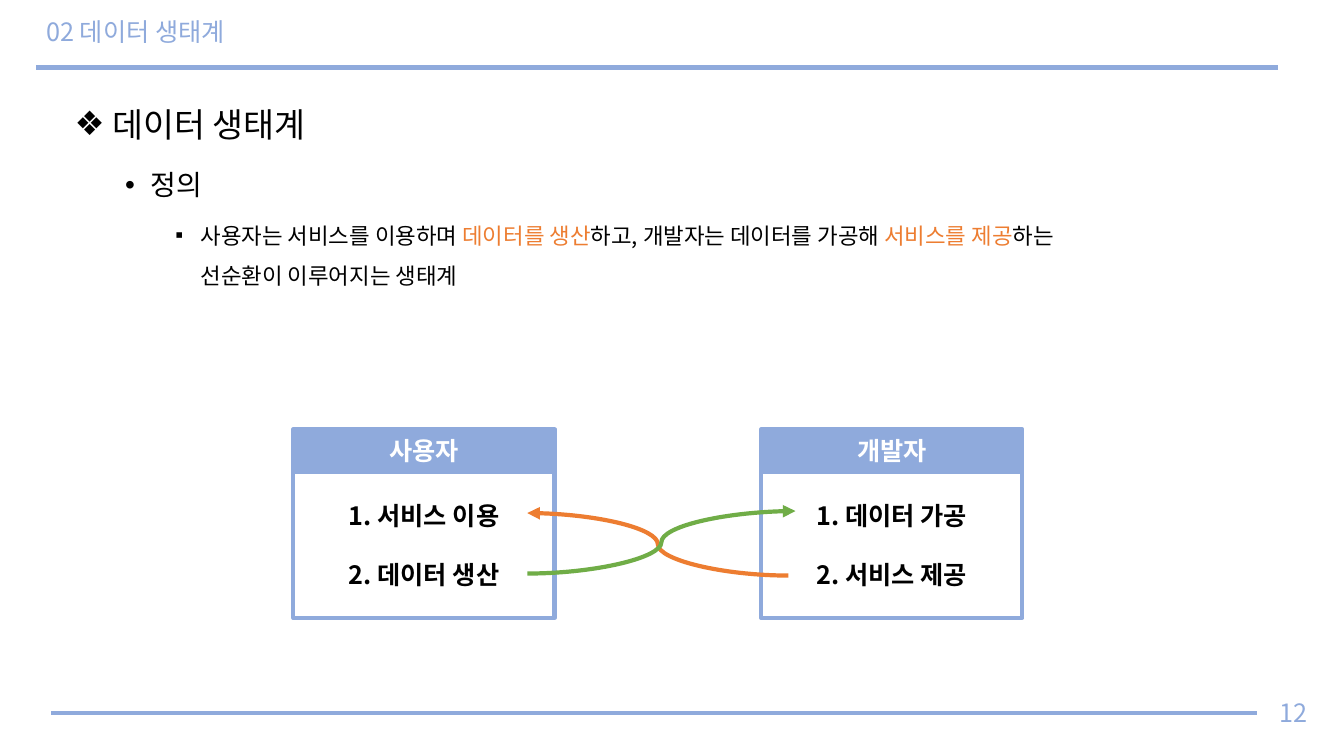
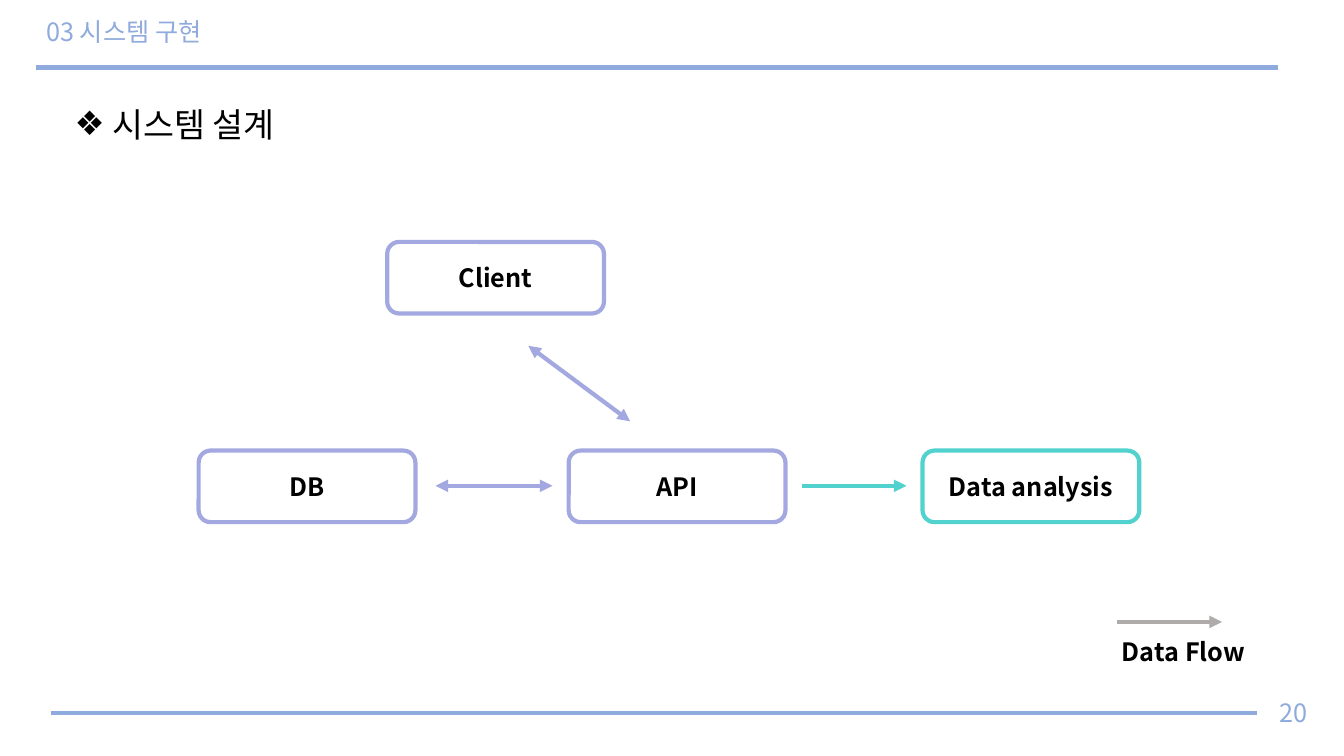
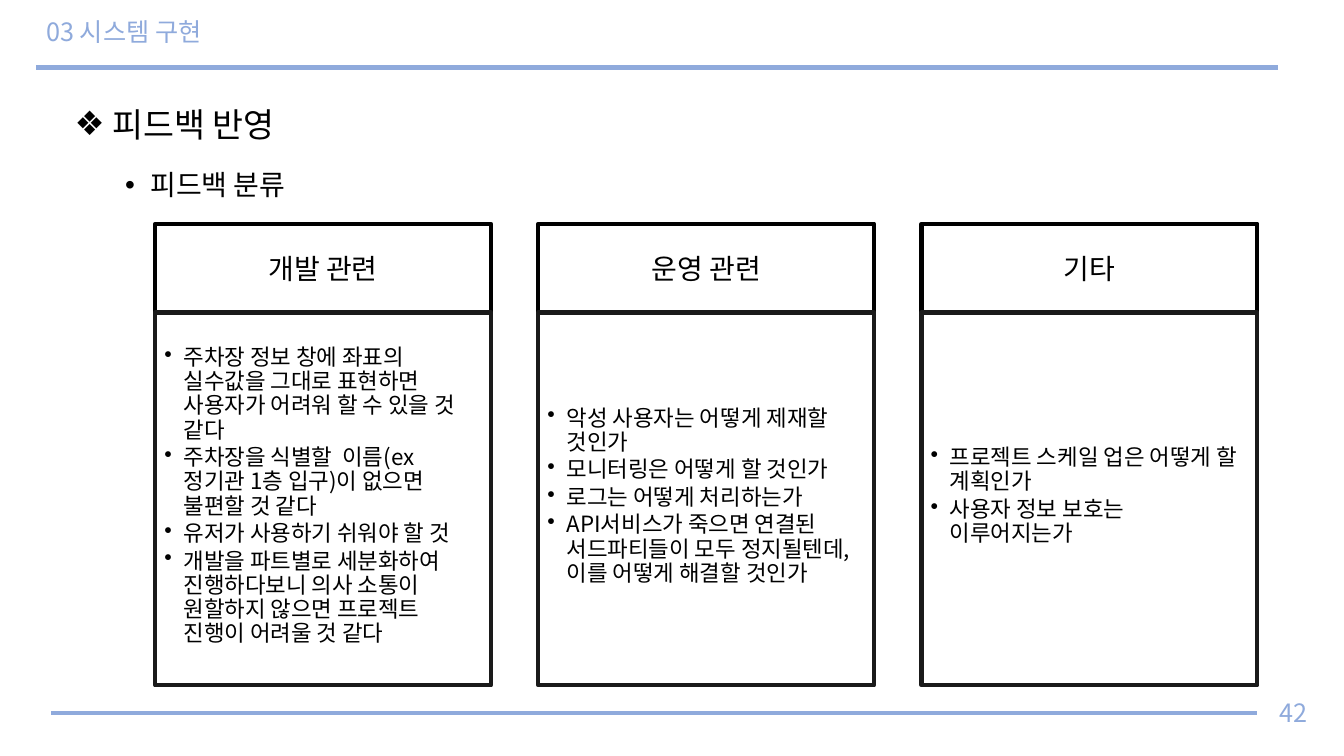
from copy import deepcopy

from lxml.etree import SubElement
from pptx import Presentation
from pptx.dml.color import RGBColor
from pptx.enum.shapes import MSO_CONNECTOR as CONN, MSO_SHAPE as SHAPE
from pptx.enum.text import MSO_ANCHOR as ANCHOR, MSO_AUTO_SIZE as FIT, PP_ALIGN as ALIGN
from pptx.oxml.ns import qn
from pptx.util import Inches, Pt

FONT = "Noto Sans CJK KR"
BLUE = RGBColor(0x8F, 0xAA, 0xDC)
ORANGE = RGBColor(0xED, 0x7D, 0x31)
GREEN = RGBColor(0x70, 0xAD, 0x47)
LILAC = RGBColor(0xA3, 0xA9, 0xE0)
TEAL = RGBColor(0x51, 0xD2, 0xCE)
GRAY = RGBColor(0xAF, 0xAB, 0xAB)
BLACK = RGBColor(0, 0, 0)
SOFT_BLACK = RGBColor(0x1A, 0x1A, 0x1A)
WHITE = RGBColor(0xFF, 0xFF, 0xFF)

# bullet, text indent in inches, size, space before
LEVELS = [("❖", 0.25, 24, 10), ("•", 0.75, 20, 5), ("▪", 1.25, 16, 5)]


def style(p, size, color=None, bold=False):
    """Format every run of a paragraph, for Latin and Korean text alike."""
    for r in p.runs:
        r.font.size, r.font.bold, r.font.name = Pt(size), bold, FONT
        if color is not None:
            r.font.color.rgb = color
        rPr = r.font._element
        ea = SubElement(rPr, qn("a:ea"), typeface=FONT)
        rPr.find(qn("a:latin")).addnext(ea)
    for br in p._p.findall(qn("a:br")):
        br.append(deepcopy(p.runs[0].font._element))


def bullet(p, char, indent, hang):
    pPr = p._p.get_or_add_pPr()
    pPr.set("marL", str(Inches(indent)))
    pPr.set("indent", str(-Inches(hang)))
    SubElement(pPr, qn("a:buChar"), char=char)


def place(shape, left, top, width, height):
    shape.left, shape.top = Inches(left), Inches(top)
    shape.width, shape.height = Inches(width), Inches(height)


def add_line(slide, begin, end, color, kind=CONN.STRAIGHT, head=False, tail=False):
    line = slide.shapes.add_connector(kind, *map(Inches, begin + end))
    line.line.color.rgb, line.line.width = color, Pt(3)
    for tag, wanted in (("a:headEnd", head), ("a:tailEnd", tail)):
        if wanted:
            SubElement(line.line._get_or_add_ln(), qn(tag), type="triangle")
    SubElement(line._element.spPr, qn("a:effectLst"))
    return line


def add_box(slide, box, lines, size=18, border=BLUE, fill=None, color=BLACK,
            bold=True, kind=SHAPE.RECTANGLE, gap=0):
    sp = slide.shapes.add_shape(kind, *map(Inches, box))
    sp.shadow.inherit = False
    if fill is None:
        sp.fill.background()
    else:
        sp.fill.solid()
        sp.fill.fore_color.rgb = fill
    sp.line.color.rgb, sp.line.width = border, Pt(3)
    tf = sp.text_frame
    tf.vertical_anchor = ANCHOR.MIDDLE
    tf.text = "\n".join(lines)
    for i, p in enumerate(tf.paragraphs):
        p.alignment = ALIGN.CENTER
        p.space_before = Pt(gap if i else 0)
        style(p, size, color, bold)
    return sp


def add_label(slide, box, text, color, bold=False, align=ALIGN.LEFT):
    tf = slide.shapes.add_textbox(*map(Inches, box)).text_frame
    tf.word_wrap = True
    tf.vertical_anchor = ANCHOR.MIDDLE
    tf.text = text
    tf.paragraphs[0].alignment = align
    style(tf.paragraphs[0], 18, color, bold)


def set_up_layout(prs):
    """Give the layout its title box, body box and the two rules."""
    layout = prs.slide_layouts[1]
    place(layout.placeholders[0], 0.36, 0.07, 11.5, 0.52)
    place(layout.placeholders[1], 0.64, 0.78, 11.83, 6.08)
    return layout


def add_rules(slide):
    """Draw the header and footer rules and hand them to the slide's layout."""
    for begin, end in (((0.36, 0.67), (12.68, 0.67)), ((0.51, 7.07), (12.47, 7.07))):
        rule = add_line(slide, begin, end, BLUE)
        slide.slide_layout.shapes.element.append(rule._element)


def add_page(prs, layout, title, number, outline):
    """Add a slide; outline holds one list of (text, colour) parts per level."""
    slide = prs.slides.add_slide(layout)
    tf = slide.shapes.title.text_frame
    tf.text = title
    tf.vertical_anchor = ANCHOR.MIDDLE
    p = tf.paragraphs[0]
    p.alignment, p.line_spacing = ALIGN.LEFT, 0.9
    style(p, 18, BLUE)

    tf = slide.placeholders[1].text_frame
    tf.auto_size = FIT.NONE
    for level, parts in enumerate(outline):
        char, indent, size, before = LEVELS[level]
        p = tf.add_paragraph() if level else tf.paragraphs[0]
        p.level = level
        bullet(p, char, indent, 0.25)
        p.line_spacing, p.space_before = 1.5, Pt(before if level else 0)
        for text, color in parts:
            if text == "\n":
                p.add_line_break()
                continue
            r = p.add_run()
            r.text = text
            r.font.color.rgb = color
        style(p, size)

    add_label(slide, (12.47, 6.87, 0.71, 0.4), str(number), BLUE, align=ALIGN.CENTER)
    return slide


def add_role(slide, left, top, name, steps):
    width, head = 2.59, 0.42
    add_box(slide, (left, top, width, head), [name], fill=BLUE, color=WHITE)
    add_box(slide, (left, top + head, width, 1.45), steps, gap=21)


def add_feedback(slide, left, top, name, remarks):
    width, head = 3.33, 0.88
    add_box(slide, (left, top, width, head), [name], 20, BLACK, bold=False)
    sp = add_box(slide, (left, top + head, width, 3.7), remarks, 16, SOFT_BLACK, bold=False)
    tf = sp.text_frame
    tf.margin_left, tf.margin_top = Inches(0.09), Inches(0.09)
    tf.margin_right, tf.margin_bottom = Inches(0.12), Inches(0.14)
    for p in tf.paragraphs:
        p.alignment = ALIGN.LEFT
        bullet(p, "•", 0.19, 0.19)
        p.line_spacing, p.space_after = 0.9, Pt(2.4)


def ecosystem_slide(prs, layout):
    slide = add_page(prs, layout, "02 데이터 생태계", 12, [
        [(" 데이터 생태계", BLACK)],
        [("정의", BLACK)],
        [("사용자는 서비스를 이용하며 ", BLACK), ("데이터를 생산", ORANGE),
         ("하고, 개발자는 데이터를 가공해 ", BLACK), ("서비스를 제공", ORANGE),
         ("하는 ", BLACK), ("\n", BLACK), ("선순환이 이루어지는 생태계", BLACK)],
    ])
    add_role(slide, 2.91, 4.26, "사용자", ["1. 서비스 이용", "2. 데이터 생산"])
    add_role(slide, 7.55, 4.26, "개발자", ["1. 데이터 가공", "2. 서비스 제공"])
    add_line(slide, (7.82, 5.71), (5.23, 5.09), ORANGE, CONN.CURVE, tail=True)
    add_line(slide, (5.23, 5.69), (7.89, 5.07), GREEN, CONN.CURVE, tail=True)
    return slide


def design_slide(prs, layout):
    slide = add_page(prs, layout, "03 시스템 구현", 20, [[(" 시스템 설계", BLACK)]])
    for name, left, top, color in (("Client", 3.84, 2.4, LILAC), ("API", 5.64, 4.47, LILAC),
                                   ("DB", 1.97, 4.47, LILAC),
                                   ("Data analysis", 9.15, 4.47, TEAL)):
        add_box(slide, (left, top, 2.15, 0.71), [name], border=color,
                kind=SHAPE.ROUNDED_RECTANGLE)
    for begin, end, color, both in (((7.95, 4.82), (8.99, 4.82), TEAL, False),
                                    ((5.24, 3.43), (6.25, 4.18), LILAC, True),
                                    ((4.32, 4.82), (5.48, 4.82), LILAC, True),
                                    ((11.08, 6.17), (12.12, 6.17), GRAY, False)):
        add_line(slide, begin, end, color, head=both, tail=True)
    add_label(slide, (11.03, 6.26, 1.66, 0.4), "Data Flow", BLACK, bold=True)


def feedback_slide(prs, layout):
    slide = add_page(prs, layout, "03 시스템 구현", 42,
                     [[(" 피드백 반영", BLACK)], [("피드백 분류", BLACK)]])
    groups = [
        ("개발 관련", ["주차장 정보 창에 좌표의 실수값을 그대로 표현하면 사용자가 어려워 할 수 있을 것 같다",
                   "주차장을 식별할  이름(ex 정기관 1층 입구)이 없으면 불편할 것 같다",
                   "유저가 사용하기 쉬워야 할 것",
                   "개발을 파트별로 세분화하여 진행하다보니 의사 소통이 원할하지 않으면 "
                   "프로젝트 진행이 어려울 것 같다"]),
        ("운영 관련", ["악성 사용자는 어떻게 제재할 것인가",
                   "모니터링은 어떻게 할 것인가",
                   "로그는 어떻게 처리하는가",
                   "API서비스가 죽으면 연결된 서드파티들이 모두 정지될텐데, 이를 어떻게 해결할 것인가"]),
        ("기타", ["프로젝트 스케일 업은 어떻게 할 계획인가", "사용자 정보 보호는 이루어지는가"]),
    ]
    for i, (name, remarks) in enumerate(groups):
        add_feedback(slide, 1.54 + 3.8 * i, 2.22, name, remarks)


def main():
    prs = Presentation()
    prs.slide_width, prs.slide_height = Inches(13.33), Inches(7.5)
    layout = set_up_layout(prs)
    add_rules(ecosystem_slide(prs, layout))
    design_slide(prs, layout)
    feedback_slide(prs, layout)
    prs.save("out.pptx")


if __name__ == "__main__":
    main()
